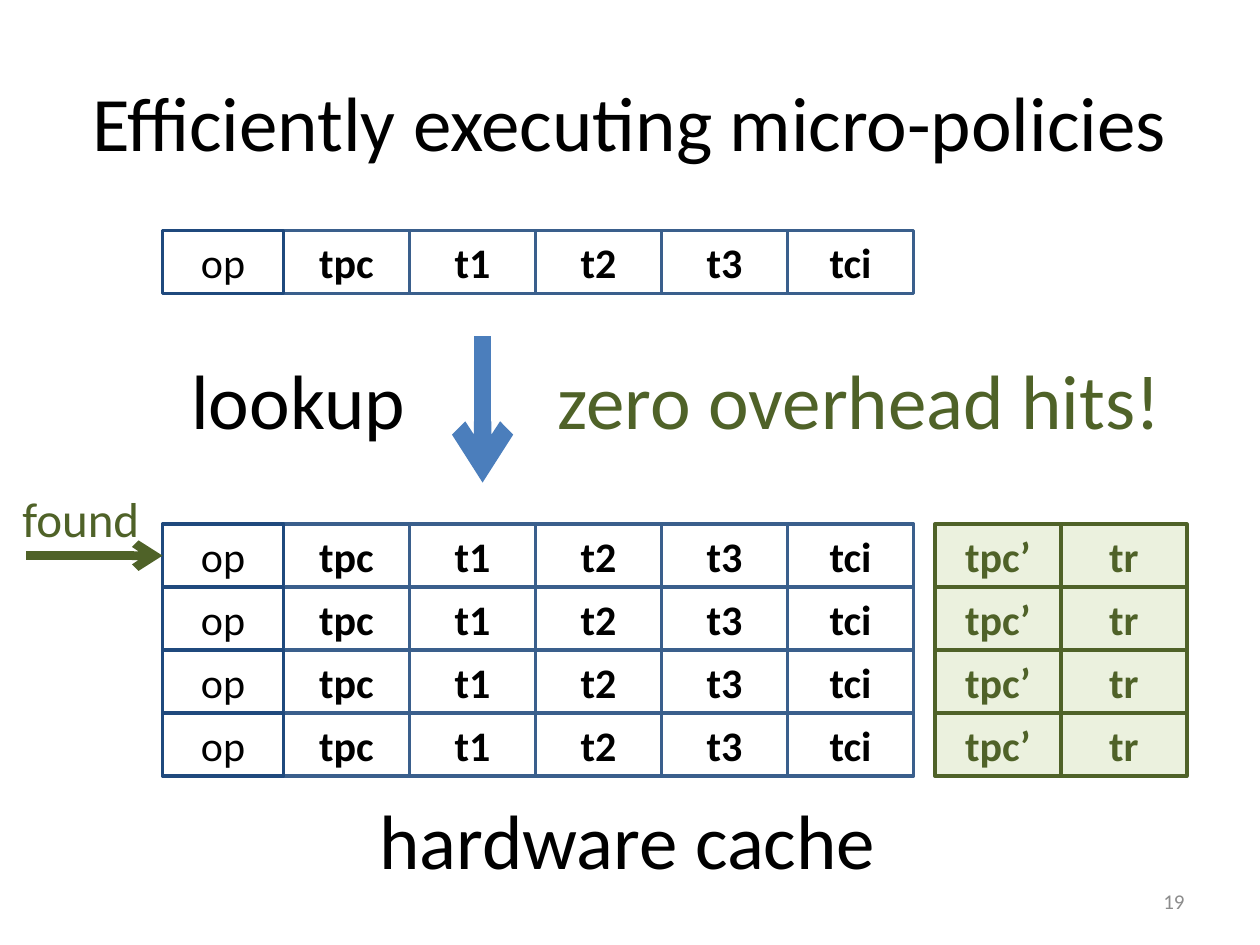
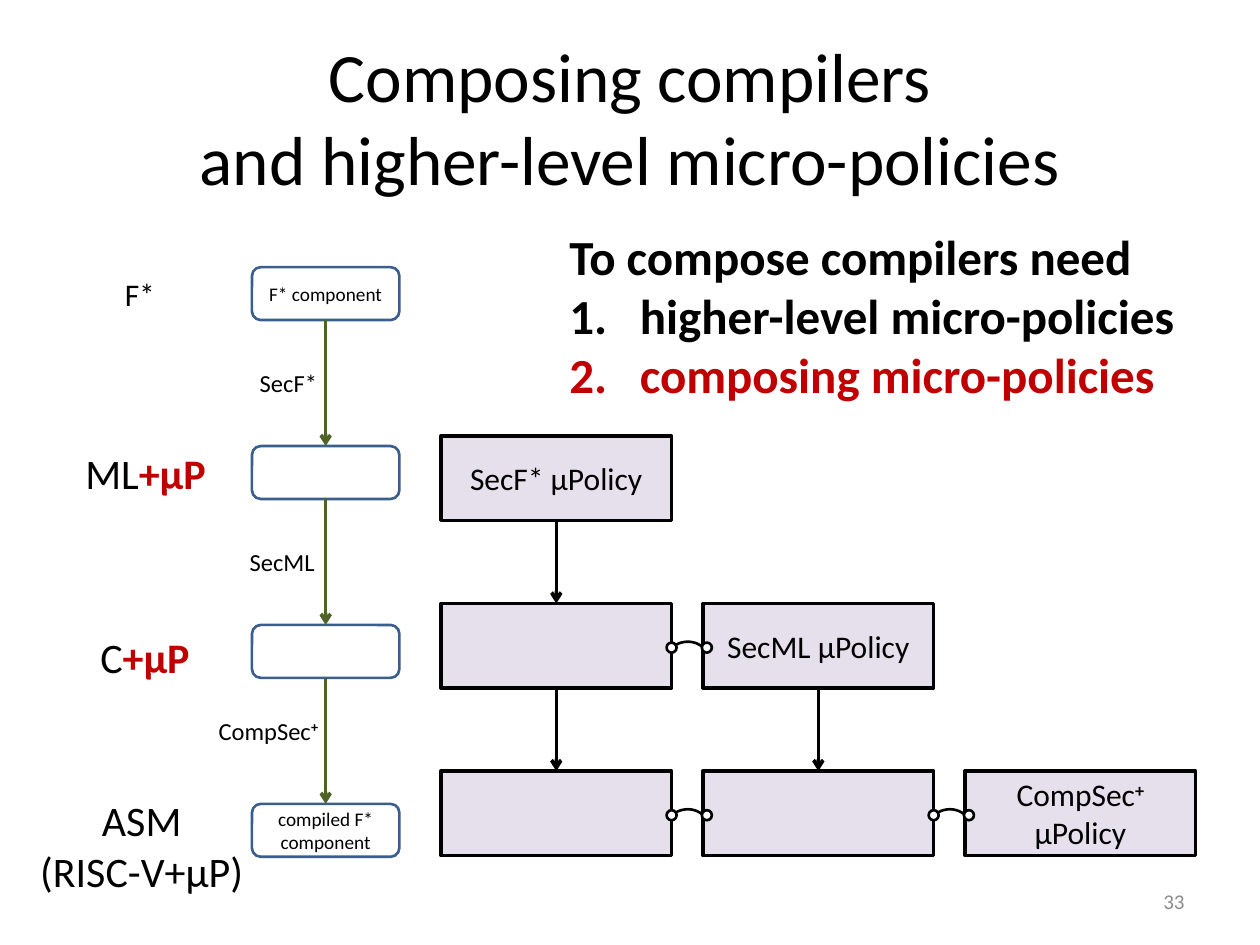
from lxml import etree
from pptx import Presentation
from pptx.dml.color import RGBColor
from pptx.enum.shapes import MSO_CONNECTOR, MSO_SHAPE
from pptx.enum.text import MSO_ANCHOR, MSO_AUTO_SIZE, PP_ALIGN
from pptx.oxml.ns import qn
from pptx.util import Inches, Pt

BLACK = RGBColor(0x00, 0x00, 0x00)
WHITE = RGBColor(0xFF, 0xFF, 0xFF)
GREY = RGBColor(0x8C, 0x8C, 0x8C)
RED = RGBColor(0xC0, 0x00, 0x00)
NAVY = RGBColor(0x1F, 0x49, 0x7D)
BLUE = RGBColor(0x3A, 0x5F, 0x8C)
ARROW_BLUE = RGBColor(0x4B, 0x7E, 0xBC)
GREEN = RGBColor(0x4F, 0x62, 0x28)
PALE_GREEN = RGBColor(0xEB, 0xF1, 0xDE)
LILAC = RGBColor(0xE6, 0xE0, 0xEC)

FONT = "Calibri"
TITLE_ONLY = 5
LEFT, CENTER, RIGHT = PP_ALIGN.LEFT, PP_ALIGN.CENTER, PP_ALIGN.RIGHT
MIDDLE = MSO_ANCHOR.MIDDLE
RECT, ROUND_RECT = MSO_SHAPE.RECTANGLE, MSO_SHAPE.ROUNDED_RECTANGLE
OVAL, ARC = MSO_SHAPE.OVAL, MSO_SHAPE.ARC
STRAIGHT = MSO_CONNECTOR.STRAIGHT
TOP_SIDE, LEFT_SIDE, BOTTOM_SIDE = 0, 1, 2

BOLD = {"bold": True}
RED_BOLD = {"bold": True, "color": RED}
SUPER = {"bold": True, "baseline": 30000}


def format_run(r, size, color=BLACK, baseline=None, **font):
    for name, value in {"name": FONT, "size": Pt(size), **font}.items():
        setattr(r.font, name, value)
    r.font.color.rgb = color
    if baseline:
        r.font._element.set("baseline", str(baseline))


def write(tf, paragraphs, size, align=LEFT, **fmt):
    """Fill a frame; a paragraph is a string or a list of (text, format) runs."""
    for i, runs in enumerate(paragraphs):
        p = tf.paragraphs[0] if i == 0 else tf.add_paragraph()
        p.alignment = align
        for text, run_fmt in [(runs, {})] if isinstance(runs, str) else runs:
            r = p.add_run()
            r.text = text
            format_run(r, size, **{**fmt, **run_fmt})


def add_label(slide, box, paragraphs, size, anchor=MSO_ANCHOR.TOP, **fmt):
    tf = slide.shapes.add_textbox(*map(Inches, box)).text_frame
    tf.word_wrap = False
    tf.vertical_anchor = anchor
    write(tf, paragraphs, size, **fmt)
    return tf


def add_box(shapes, kind, box, line, width=2, fill=None):
    sp = shapes.add_shape(kind, *map(Inches, box))
    sp.shadow.inherit = False
    if fill is None:
        sp.fill.background()
    else:
        sp.fill.solid()
        sp.fill.fore_color.rgb = fill
    sp.line.color.rgb = line
    sp.line.width = Pt(width)
    sp.text_frame.vertical_anchor = MIDDLE
    return sp


def add_arrow(slide, color, width, start=(0, 0), end=(0, 0)):
    line = slide.shapes.add_connector(STRAIGHT, *map(Inches, (*start, *end)))
    line.line.color.rgb = color
    line.line.width = Pt(width)
    etree.SubElement(line.line._get_or_add_ln(), qn("a:tailEnd"), type="arrow")
    etree.SubElement(line._element.spPr, qn("a:effectLst"))
    return line


def join_down(slide, upper, lower, color):
    line = add_arrow(slide, color, 2)
    line.begin_connect(upper, BOTTOM_SIDE)
    line.end_connect(lower, TOP_SIDE)


def add_titled_slide(prs, title, number, top, size):
    slide = prs.slides.add_slide(prs.slide_layouts[TITLE_ONLY])
    sp = slide.shapes.title
    sp.left, sp.top, sp.width, sp.height = map(Inches, (0.5, top, 9, 1.25))
    tf = sp.text_frame
    tf.auto_size = MSO_AUTO_SIZE.NONE
    tf.vertical_anchor = MIDDLE
    p = tf.paragraphs[0]
    p.text = title
    p.alignment = CENTER
    for r in p.runs:
        format_run(r, size)
    add_label(slide, (7.17, 6.95, 2.33, 0.4), [number], 12, MIDDLE,
              align=RIGHT, color=GREY)
    return slide


def add_cell(slide, box, text, line, fill=WHITE, **fmt):
    sp = add_box(slide.shapes, RECT, box, line, fill=fill)
    write(sp.text_frame, [text], 24, CENTER, **fmt)
    return sp


def add_key_row(slide, left, top):
    """Draw the opcode and its tags, and return the opcode cell."""
    op_width = 0.96
    for i, tag in enumerate(("tpc", "t1", "t2", "t3", "tci")):
        add_cell(slide, (left + op_width + i, top, 1, 0.5), tag, BLUE, **BOLD)
    return add_cell(slide, (left, top, op_width, 0.5), "op", NAVY)


def add_result_row(slide, left, top):
    for i, tag in enumerate(("tpc’", "tr")):
        add_cell(slide, (left + i, top, 1, 0.5), tag, GREEN, PALE_GREEN,
                 color=GREEN, **BOLD)


def add_cache(slide, left, top):
    """Draw the four cache lines and return the opcode cell of the first."""
    ops = []
    for i in range(4):
        ops.append(add_key_row(slide, left, top + i * 0.5))
        add_result_row(slide, left + 6.13, top + i * 0.5)
    add_label(slide, (left + 1.62, top + 2.08, 4.18, 0.84),
              ["hardware cache"], 44)
    return ops[0]


def build_lookup_slide(prs):
    slide = add_titled_slide(prs, "Efficiently executing micro-policies",
                             "19", 0.33, 44)
    add_key_row(slide, 1.29, 1.83)
    hit = add_cache(slide, 1.29, 4.16)
    add_arrow(slide, ARROW_BLUE, 10, (3.83, 2.67), (3.83, 3.83))
    add_label(slide, (1.42, 2.75, 1.92, 0.84), ["lookup"], 44)
    add_label(slide, (4.33, 2.75, 5.04, 0.84), ["zero overhead hits!"], 44,
              color=GREEN)
    found = add_arrow(slide, GREEN, 5, (0.21, 4.41), (1.29, 4.41))
    found.end_connect(hit, LEFT_SIDE)
    add_label(slide, (0.08, 3.83, 1.14, 0.57), ["found"], 28, color=GREEN)


def add_link(slide, left, top):
    """Draw an arc between two ringed ends."""
    shapes = slide.shapes.add_group_shape().shapes
    add_box(shapes, ARC, (left, top, 0.39, 0.36), BLACK, 1.5).rotation = 317.9
    for dx in (0.04, 0.32):
        add_box(shapes, OVAL, (left + dx, top, 0.08, 0.08), BLACK, 1.5, WHITE)


def add_policy_stairs(slide, left, top):
    """Draw one more policy per row; each new one is named."""
    width, height, step_x, step_y = 1.83, 0.67, 2.08, 1.33
    names = ("SecF* μPolicy", "SecML μPolicy",
             [("CompSec", {}), ("+ ", SUPER), ("μPolicy", {})])
    above = []
    for row, name in enumerate(names):
        y = top + row * step_y
        boxes = [add_box(slide.shapes, RECT,
                         (left + col * step_x, y, width, height),
                         BLACK, fill=LILAC) for col in range(row + 1)]
        write(boxes[-1].text_frame, [name], 18, CENTER)
        for upper, lower in zip(above, boxes):
            join_down(slide, upper, lower, BLACK)
        for col in range(row):
            add_link(slide, left + col * step_x + width - 0.08, y + 0.31)
        above = boxes


def add_compiler_chain(slide, left, top):
    stages = []
    for i, text in enumerate(("F* component", "", "", "compiled F* component")):
        sp = add_box(slide.shapes, ROUND_RECT,
                     (left, top + i * 1.42, 1.17, 0.42), BLUE, 1.5, WHITE)
        if text:
            write(sp.text_frame, [text], 11, CENTER)
        stages.append(sp)
    for upper, lower in zip(stages, stages[1:]):
        join_down(slide, upper, lower, GREEN)
    for dx, dy, width, name in (
            (-0.04, 0.75, 0.66, "SecF*"),
            (-0.12, 2.17, 0.72, "SecML"),
            (-0.39, 3.51, 1.04, [("CompSec", {}), ("+", SUPER)])):
        add_label(slide, (left + dx, top + dy, width, 0.34), [name], 14,
                  align=CENTER)


def add_language_labels(slide, left, top):
    plus_policy = ("+μP", RED_BOLD)
    for dx, dy, width, height, size, lines in (
            (0.68, 0, 0.44, 0.4, 18, ["F*"]),
            (0.36, 1.37, 1.17, 0.5, 24, [[("ML", {}), plus_policy]]),
            (0.48, 2.83, 0.92, 0.5, 24, [[("C", {}), plus_policy]]),
            (0, 4.13, 1.83, 0.91, 24, ["ASM", "(RISC-V+μP)"])):
        add_label(slide, (left + dx, top + dy, width, height), lines, size,
                  align=CENTER)


def add_needs_list(slide, box):
    tf = add_label(slide, box, ["To compose compilers need",
                                "higher-level micro-policies",
                                [("composing micro-policies", RED_BOLD)]],
                   28, **BOLD)
    for p in tf.paragraphs[1:]:
        pPr = p._p.get_or_add_pPr()
        pPr.set("marL", str(Inches(0.56)))
        pPr.set("indent", str(-Inches(0.56)))
        etree.SubElement(pPr, qn("a:buFont"), typeface="+mj-lt")
        etree.SubElement(pPr, qn("a:buAutoNum"), type="arabicPeriod")


def build_compilers_slide(prs):
    slide = add_titled_slide(
        prs, "Composing compilers\nand higher-level micro-policies",
        "33", 0.3, 39.6)
    add_policy_stairs(slide, 3.5, 3.46)
    add_compiler_chain(slide, 2, 2.12)
    add_language_labels(slide, 0.21, 2.13)
    add_needs_list(slide, (4.42, 1.75, 5.07, 1.51))


def main():
    prs = Presentation()
    prs.slide_width, prs.slide_height = Inches(10), Inches(7.5)
    build_lookup_slide(prs)
    build_compilers_slide(prs)
    prs.save("out.pptx")


if __name__ == "__main__":
    main()
